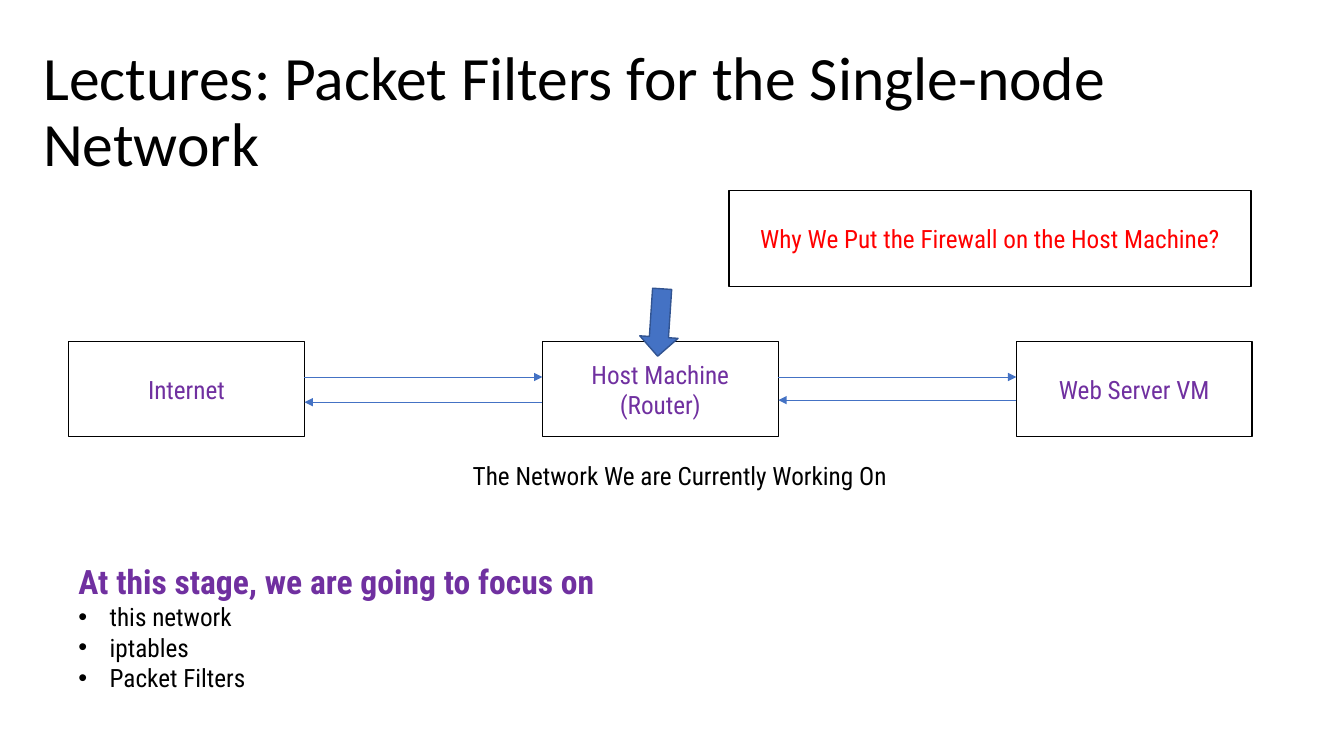
from lxml import etree
from pptx import Presentation
from pptx.dml.color import RGBColor
from pptx.enum.shapes import MSO_CONNECTOR as CONN, MSO_SHAPE as SHAPE
from pptx.enum.text import MSO_ANCHOR as ANCHOR, PP_ALIGN as ALIGN
from pptx.oxml.ns import qn
from pptx.util import Inches, Pt

FONT = "Roboto Condensed"
BLACK, PURPLE, RED, BLUE, NAVY = "000000", "7030A0", "FF0000", "4472C4", "325491"
LEFT, PITCH, NODE_W = 0.68, 4.7, 2.34
NODE_TOP, NODE_H = 3.39, 0.94
NODES = [["Internet"], ["Host Machine", "(Router)"], ["Web Server VM"]]
TOPICS = ["this network", "iptables", "Packet Filters"]


def color(hex_code):
    return RGBColor.from_string(hex_code)


def col(i):
    return LEFT + i * PITCH


def add_run(p, text, size=18, hex_code=BLACK, font=FONT, bold=False):
    r = p.add_run()
    r.text = text
    r.font.size = Pt(size)
    r.font.name = font
    r.font.bold = bold
    r.font.color.rgb = color(hex_code)


def add_text(s, x, y, w, h, text, anchor=ANCHOR.TOP, **style):
    tf = s.shapes.add_textbox(*map(Inches, (x, y, w, h))).text_frame
    tf.word_wrap = True
    tf.vertical_anchor = anchor
    add_run(tf.paragraphs[0], text, **style)
    return tf


def add_shape(s, kind, x, y, w, h, line, fill=None):
    sp = s.shapes.add_shape(kind, *map(Inches, (x, y, w, h)))
    sp.shadow.inherit = False
    if fill:
        sp.fill.solid()
        sp.fill.fore_color.rgb = color(fill)
    else:
        sp.fill.background()
    sp.line.color.rgb = color(line)
    sp.line.width = Pt(1)
    return sp


def add_box(s, x, y, w, h, lines, hex_code):
    tf = add_shape(s, SHAPE.RECTANGLE, x, y, w, h, BLACK).text_frame
    tf.word_wrap = True
    tf.vertical_anchor = ANCHOR.MIDDLE
    for i, text in enumerate(lines):
        p = tf.add_paragraph() if i else tf.paragraphs[0]
        p.alignment = ALIGN.CENTER
        add_run(p, text, hex_code=hex_code)


def add_arrow(s, x1, x2, y):
    c = s.shapes.add_connector(CONN.STRAIGHT, *map(Inches, (x1, y, x2, y)))
    c.line.color.rgb = color(BLUE)
    c.line.width = Pt(0.5)
    etree.SubElement(c.line._get_or_add_ln(), qn("a:tailEnd"), type="triangle")
    etree.SubElement(c._element.spPr, qn("a:effectLst"))


def add_bullet(tf, text):
    p = tf.add_paragraph()
    pPr = p._p.get_or_add_pPr()
    pPr.set("marL", str(Inches(0.31)))
    pPr.set("indent", str(-Inches(0.31)))
    etree.SubElement(pPr, qn("a:buFont"), typeface="Arial")
    etree.SubElement(pPr, qn("a:buChar"), char="•")
    add_run(p, text)


def main():
    prs = Presentation()
    prs.slide_width, prs.slide_height = Inches(13.33), Inches(7.5)
    s = prs.slides.add_slide(prs.slide_layouts[6])

    title = add_text(s, 0.33, 0.4, 13, 1.45,
                     "Lectures: Packet Filters for the Single-node Network",
                     ANCHOR.MIDDLE, size=44, font="Calibri")
    title.paragraphs[0].line_spacing = 0.9

    for i, lines in enumerate(NODES):
        add_box(s, col(i), NODE_TOP, NODE_W, NODE_H, lines, PURPLE)
    for i, back_y in enumerate([3.99, 3.97]):
        start, end = col(i) + NODE_W, col(i + 1)
        add_arrow(s, start, end, 3.74)
        add_arrow(s, end, start, back_y)

    add_text(s, 4.59, 4.52, 4.8, 0.4, "The Network We are Currently Working On")
    pointer = add_shape(s, SHAPE.RIGHT_ARROW, 6.21, 3.01, 0.67, 0.38, NAVY, BLUE)
    pointer.rotation = 93.8
    add_box(s, 7.23, 1.89, 5.18, 0.95,
            ["Why We Put the Firewall on the Host Machine?"], RED)

    focus = add_text(s, LEFT, 5.52, 8.96, 1.41,
                     "At this stage, we are going to focus on",
                     size=24, hex_code=PURPLE, bold=True)
    for topic in TOPICS:
        add_bullet(focus, topic)

    prs.save("out.pptx")


if __name__ == "__main__":
    main()
